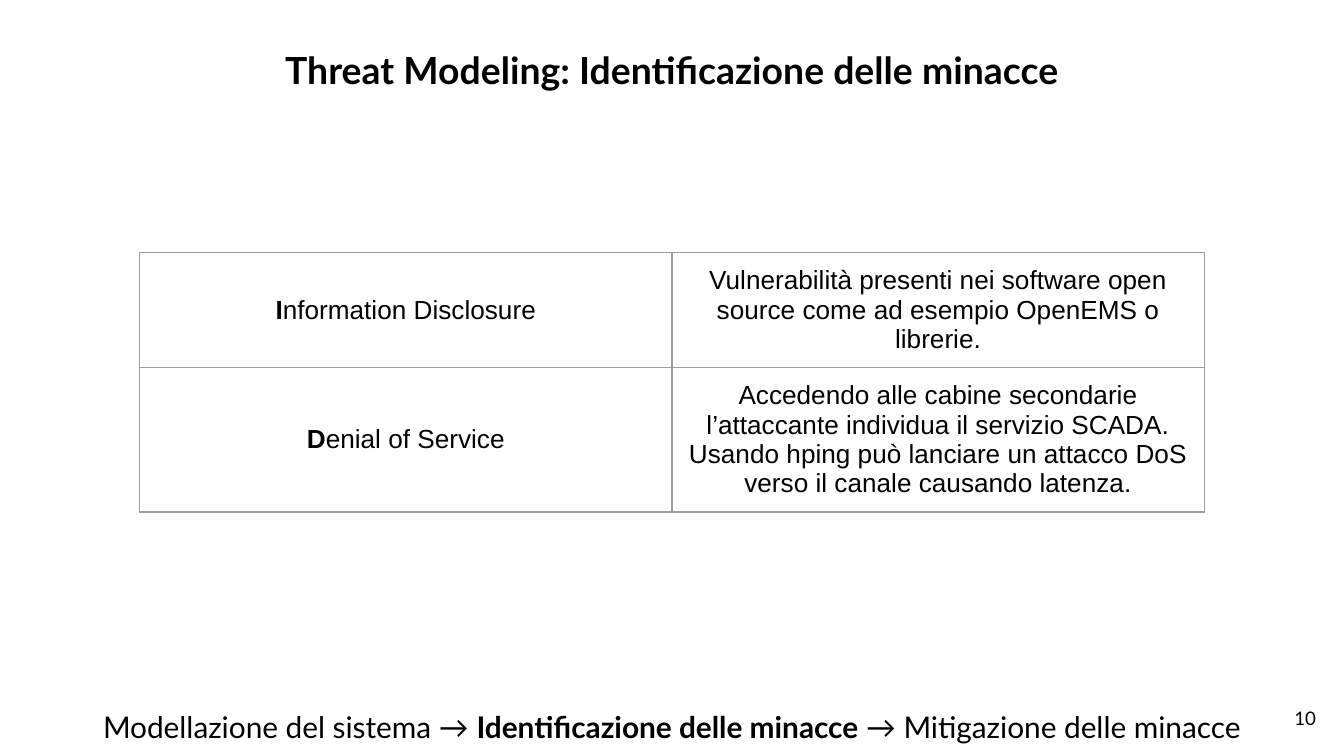
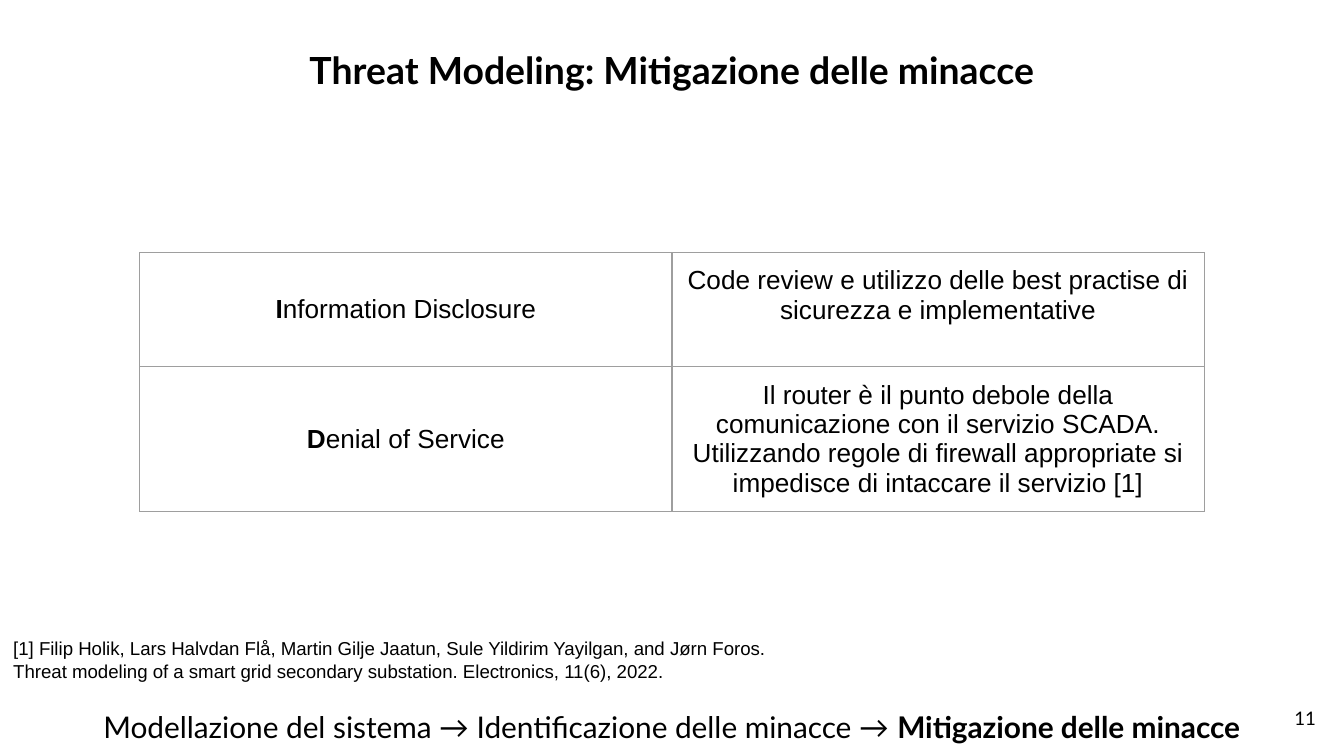
from lxml import etree
from pptx import Presentation
from pptx.dml.color import RGBColor
from pptx.enum.text import MSO_ANCHOR, MSO_AUTO_SIZE, PP_ALIGN
from pptx.oxml.ns import qn
from pptx.util import Inches, Pt

BLACK = RGBColor(0x00, 0x00, 0x00)
GREY = RGBColor(0x9E, 0x9E, 0x9E)
HEADING_FONT, BODY_FONT = "Lato", "Arial"
LEFT, CENTER, RIGHT = PP_ALIGN.LEFT, PP_ALIGN.CENTER, PP_ALIGN.RIGHT
TOP, MIDDLE = MSO_ANCHOR.TOP, MSO_ANCHOR.MIDDLE
NO_AUTOFIT = MSO_AUTO_SIZE.NONE

WIDTH = Inches(10)
HEIGHT = WIDTH * 9 // 16
MARGIN = Inches(0.1)
TABLE_LEFT, TABLE_TOP = Inches(1.04), Inches(1.88)
COLUMN_WIDTH = (WIDTH - 2 * TABLE_LEFT) // 2
ROW_HEIGHTS = [Inches(0.85), Inches(1.06)]

PHASES = ["Modellazione del sistema", "Identificazione delle minacce",
          "Mitigazione delle minacce"]
THREATS = ["Information Disclosure", "Denial of Service"]
SLIDES = [
    {"number": 10, "phase": PHASES[1], "reference": [], "answers": [
        ["Vulnerabilità presenti nei software open source come ad esempio "
         "OpenEMS o librerie."],
        ["Accedendo alle cabine secondarie l’attaccante individua il servizio SCADA.",
         "Usando hping può lanciare un attacco DoS verso il canale causando latenza."]]},
    {"number": 11, "phase": PHASES[2], "reference": [
        "[1] Filip Holik, Lars Halvdan Flå, Martin Gilje Jaatun, "
        "Sule Yildirim Yayilgan, and Jørn Foros.",
        "Threat modeling of a smart grid secondary substation. Electronics, 11(6), 2022."],
     "answers": [
        ["Code review e utilizzo delle best practise di sicurezza e implementative"],
        ["Il router è il punto debole della comunicazione con il servizio SCADA.",
         "Utilizzando regole di firewall appropriate si impedisce di intaccare "
         "il servizio [1]"]]},
]


def write(frame, paragraphs, font, size, align, anchor=TOP):
    """Fill a text frame; each paragraph is a list of (text, bold) runs."""
    frame.word_wrap = True
    frame.auto_size = NO_AUTOFIT
    frame.vertical_anchor = anchor
    frame.margin_left = frame.margin_right = MARGIN
    frame.margin_top = frame.margin_bottom = MARGIN
    for index, runs in enumerate(paragraphs):
        paragraph = frame.add_paragraph() if index else frame.paragraphs[0]
        paragraph.alignment = align
        paragraph.font.name = font
        paragraph.font.size = Pt(size)
        paragraph.font.color.rgb = BLACK
        for text, bold in runs:
            run = paragraph.add_run()
            run.text = text
            run.font.bold = bold


def style_cell(cell):
    """Clear the fill and draw thin grey borders on all four sides."""
    properties = cell._tc.get_or_add_tcPr()
    for side in ("a:lnL", "a:lnR", "a:lnT", "a:lnB"):
        border = etree.SubElement(properties, qn(side), w=str(Pt(0.75)))
        fill = etree.SubElement(border, qn("a:solidFill"))
        etree.SubElement(fill, qn("a:srgbClr"), val=str(GREY))
    cell.fill.background()


deck = Presentation()
deck.slide_width, deck.slide_height = WIDTH, HEIGHT
title_only = deck.slide_layouts[5]

for content in SLIDES:
    slide = deck.slides.add_slide(title_only)
    shapes = slide.shapes

    title = shapes.title
    title.left, title.top, title.width, title.height = 0, Inches(0.25), WIDTH, Inches(0.58)
    write(title.text_frame, [[(f"Threat Modeling: {content['phase']}", True)]],
          HEADING_FONT, 20, CENTER)

    trail_height = Inches(0.45)
    trail = shapes.add_textbox(0, HEIGHT - trail_height, WIDTH, trail_height)
    steps = []
    for phase in PHASES:
        if steps:
            steps.append((" → ", False))
        steps.append((phase, phase == content["phase"]))
    write(trail.text_frame, [steps], HEADING_FONT, 16, CENTER)

    table = shapes.add_table(len(THREATS), 2, TABLE_LEFT, TABLE_TOP,
                             2 * COLUMN_WIDTH, sum(ROW_HEIGHTS)).table
    table.first_row = table.horz_banding = False
    for row, (threat, answer) in enumerate(zip(THREATS, content["answers"])):
        table.rows[row].height = ROW_HEIGHTS[row]
        threat_cell, answer_cell = table.cell(row, 0), table.cell(row, 1)
        cells = [
            (threat_cell, [[(threat[0], True), (threat[1:], False)]], MIDDLE),
            (answer_cell, [[(text, False)] for text in answer], TOP),
        ]
        for cell, paragraphs, anchor in cells:
            write(cell.text_frame, paragraphs, BODY_FONT, 14, CENTER)
            cell.vertical_anchor = anchor
            cell.margin_left = cell.margin_right = MARGIN
            cell.margin_top = cell.margin_bottom = MARGIN
            style_cell(cell)

    page = shapes.add_textbox(Inches(9.29), Inches(5.13), Inches(0.6), Inches(0.43))
    write(page.text_frame, [[(str(content["number"]), False)]],
          HEADING_FONT, 10, RIGHT, MIDDLE)

    if content["reference"]:
        reference = shapes.add_textbox(0, Inches(4.64), WIDTH, Inches(0.54))
        write(reference.text_frame, [[(line, False)] for line in content["reference"]],
              BODY_FONT, 10, LEFT)

deck.save("out.pptx")
